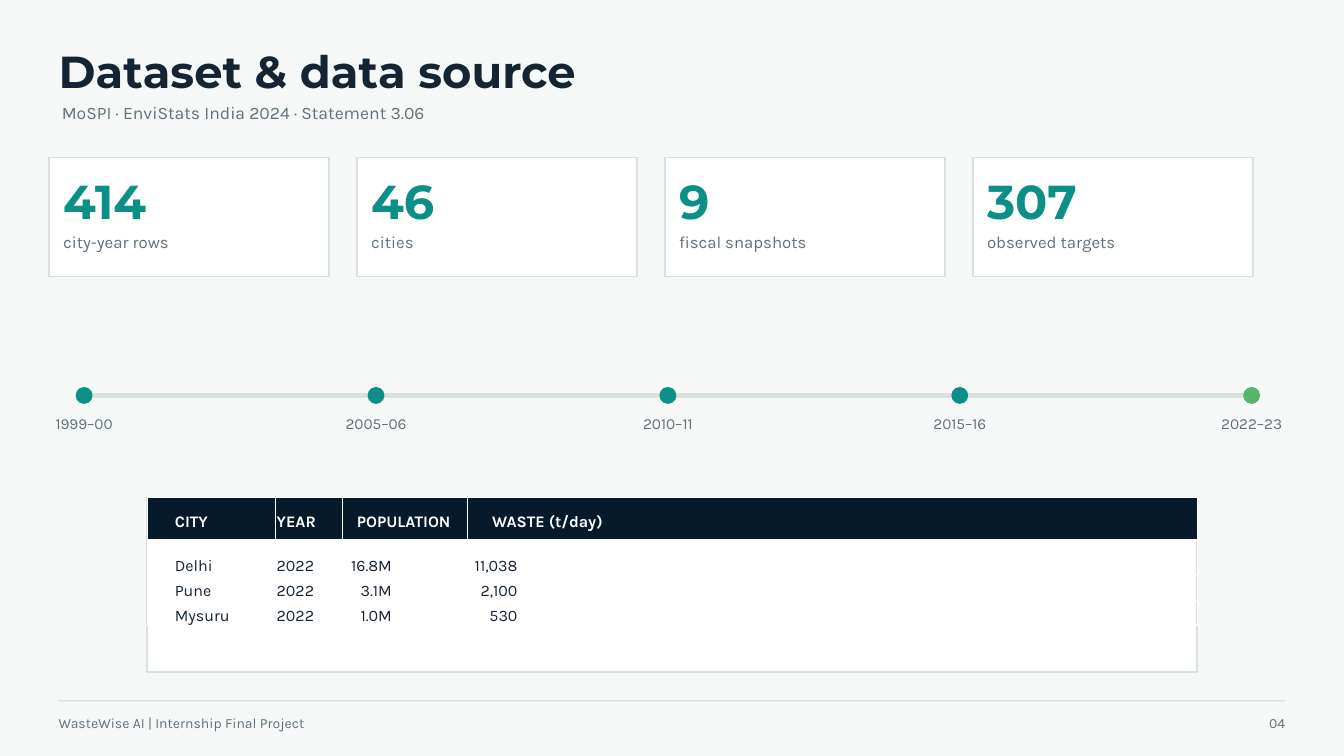
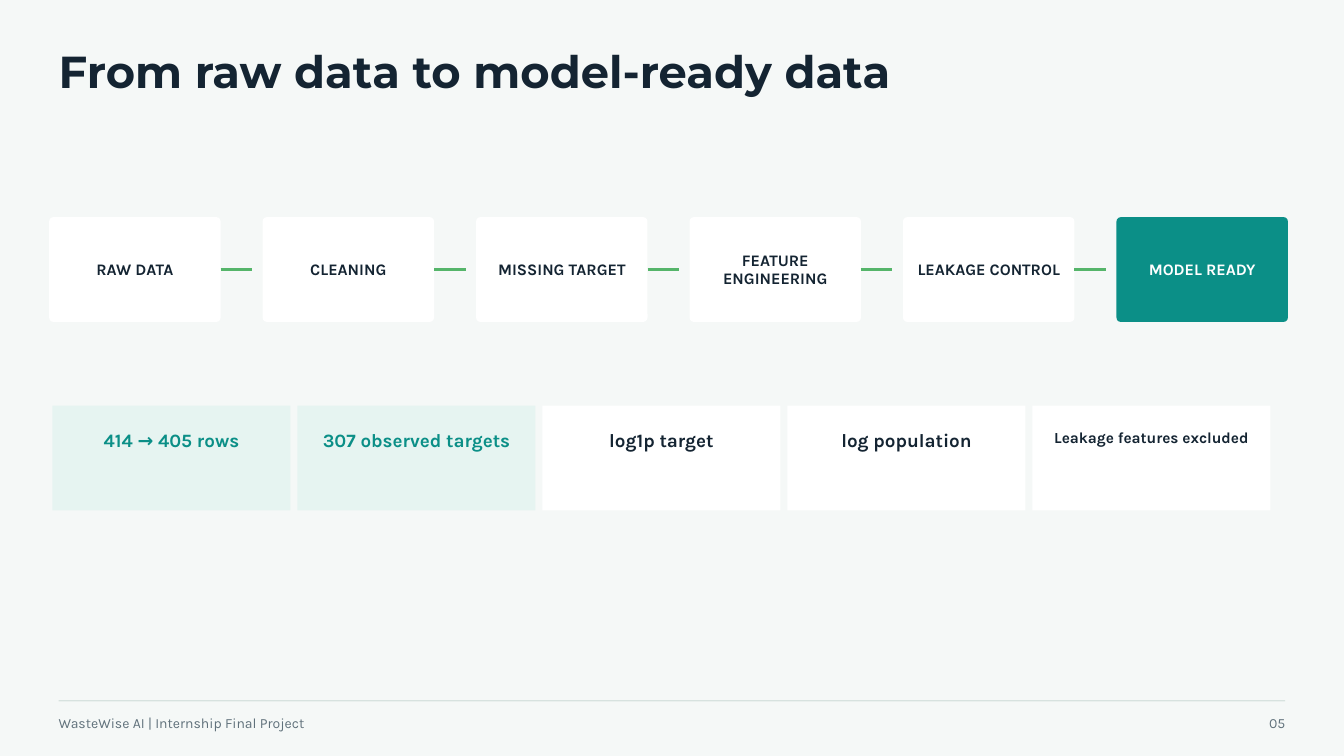
import pptx
import pptx.util
import pptx.dml.color
import pptx.enum.shapes
import pptx.enum.text
import pptx.oxml.ns
import lxml.etree

Cm = pptx.util.Cm
Pt = pptx.util.Pt
SHAPES = pptx.enum.shapes.MSO_SHAPE
ALIGN = pptx.enum.text.PP_ALIGN
ANCHOR = pptx.enum.text.MSO_ANCHOR

COLORS = {
    "background": "F5F8F7",
    "ink": "142432",
    "muted": "60717B",
    "teal": "0B8F87",
    "mint": "E6F4F1",
    "green": "55B56A",
    "rule": "D7E2DF",
    "navy": "071A2B",
    "white": "FFFFFF",
}
HEADING_FONT = "Montserrat"
BODY_FONT = "Karla"
FOOTER_TEXT = "WasteWise AI | Internship Final Project"


def color(name):
    return pptx.dml.color.RGBColor.from_string(COLORS[name])


# Shared building blocks

def write_text(frame, text, size, spacing, ink="ink", font=BODY_FONT, bold=False,
               align=ALIGN.LEFT, anchor=ANCHOR.TOP, margins=(0, 0, 0, 0)):
    """Fill a text frame; margins are left, top, right, bottom in cm."""
    frame.word_wrap = True
    frame.auto_size = pptx.enum.text.MSO_AUTO_SIZE.NONE
    frame.vertical_anchor = anchor
    (frame.margin_left, frame.margin_top,
     frame.margin_right, frame.margin_bottom) = map(Cm, margins)
    format_paragraph(frame.paragraphs[0], text, size, spacing, ink, font, bold, align)


def format_paragraph(paragraph, text, size, spacing, ink, font=BODY_FONT,
                     bold=False, align=ALIGN.LEFT):
    paragraph.text = text
    paragraph.alignment = align
    paragraph.line_spacing = Pt(spacing)
    paragraph.font.size = Pt(size)
    paragraph.font.name = font
    paragraph.font.bold = bold
    paragraph.font.color.rgb = color(ink)


def add_text(slide, box, text, **text_format):
    text_box = slide.shapes.add_textbox(*map(Cm, box))
    write_text(text_box.text_frame, text, **text_format)


def add_box(slide, box, fill, kind=SHAPES.RECTANGLE, outline=None):
    shape = slide.shapes.add_shape(kind, *map(Cm, box))
    shape.shadow.inherit = False
    shape.fill.solid()
    shape.fill.fore_color.rgb = color(fill)
    if outline:
        shape.line.color.rgb = color(outline)
        shape.line.width = Pt(1.5)
    else:
        shape.line.fill.background()
    return shape


def add_horizontal_line(slide, left, right, y, stroke, width):
    line = slide.shapes.add_connector(
        pptx.enum.shapes.MSO_CONNECTOR.STRAIGHT, Cm(left), Cm(y), Cm(right), Cm(y))
    line.line.color.rgb = color(stroke)
    line.line.width = Pt(width)
    properties = line._element.spPr
    lxml.etree.SubElement(properties, pptx.oxml.ns.qn("a:effectLst"))


def add_titled_slide(presentation, title, number):
    slide = presentation.slides.add_slide(presentation.slide_layouts[5])
    placeholder = slide.shapes.title
    placeholder.left, placeholder.top = Cm(2.22), Cm(1.9)
    placeholder.width, placeholder.height = Cm(39.67), Cm(1.8)
    write_text(placeholder.text_frame, title, size=48, spacing=50.4,
               font=HEADING_FONT, bold=True)
    add_footer(slide, (2.22, 26.47, 46.36), number)
    return slide


def add_footer(slide, box, number):
    left, top, width = box
    add_box(slide, (left, top, width, 0.05), "rule")
    style = {"size": 15, "spacing": 21, "ink": "muted"}
    add_text(slide, (left, top + 0.43, 16.4, 0.74), FOOTER_TEXT, **style)
    add_text(slide, (left + width - 2, top + 0.43, 2, 0.74), number,
             align=ALIGN.RIGHT, **style)


# Dataset slide

def add_figure_card(slide, box, figure, label):
    left, top, width, height = box
    inset = 0.53
    add_box(slide, box, "white", outline="rule")
    add_text(slide, (left + inset, top + 0.83, width - 2 * inset, 1.98), figure,
             size=51, spacing=53.5, ink="teal", font=HEADING_FONT, bold=True)
    add_text(slide, (left + inset, top + 2.71, width - 2 * inset, 0.82), label,
             size=18, spacing=24.3, ink="muted")


def add_timeline(slide, box, years):
    left, middle, width = box
    diameter, label_width = 0.64, 3.7
    step = width / (len(years) - 1)
    add_horizontal_line(slide, left, left + width, middle, "rule", 6)
    for index, year in enumerate(years):
        center = left + index * step
        fill = "green" if year == years[-1] else "teal"
        add_box(slide, (center - diameter / 2, middle - diameter / 2, diameter, diameter),
                fill, kind=SHAPES.OVAL)
        add_text(slide, (center - label_width / 2, middle + 0.57, label_width, 0.76),
                 year, size=16.5, spacing=23.1, ink="muted", align=ALIGN.CENTER)


def add_city_table(slide, box, columns, rows):
    """Columns are (heading, width, left indent, right margin of numbers or None)."""
    left, top, width, height = box
    add_box(slide, box, "white", outline="rule")
    row_heights = [1.59, 1.37, 0.94, 0.94]
    frame = slide.shapes.add_table(len(rows) + 1, len(columns), Cm(left), Cm(top),
                                   Cm(width), Cm(sum(row_heights)))
    table = frame.table
    table.horz_banding = False
    for row, row_height in zip(table.rows, row_heights):
        row.height = Cm(row_height)
    for column_index, (heading, column_width, indent, number_margin) in enumerate(columns):
        table.columns[column_index].width = Cm(column_width)
        texts = [heading] + [row[column_index] for row in rows]
        for row_index, text in enumerate(texts):
            cell = table.cell(row_index, column_index)
            is_header = row_index == 0
            is_number = number_margin is not None and not is_header
            cell.margin_left = Cm(0 if is_number else indent)
            cell.margin_right = Cm(number_margin if is_number else 0)
            cell.margin_top = Cm(0.46 if is_header else 0)
            cell.margin_bottom = 0
            if is_header:
                cell.vertical_anchor = ANCHOR.TOP
                cell.fill.solid()
                cell.fill.fore_color.rgb = color("navy")
            else:
                cell.vertical_anchor = ANCHOR.BOTTOM
                cell.fill.background()
            format_paragraph(cell.text_frame.paragraphs[0], text, size=17.2,
                             spacing=24.1 if is_header else 26.7,
                             ink="white" if is_header else "ink", bold=is_header,
                             align=ALIGN.RIGHT if is_number else ALIGN.LEFT)


def build_dataset_slide(presentation):
    slide = add_titled_slide(presentation, "Dataset & data source", "04")
    add_text(slide, (2.34, 3.76, 38.35, 0.86),
             "MoSPI · EnviStats India 2024 · Statement 3.06",
             size=18.8, spacing=25.3, ink="muted")

    # Key figures
    figures = [("414", "city-year rows"), ("46", "cities"),
               ("9", "fiscal snapshots"), ("307", "observed targets")]
    card_width, card_gap = 10.58, 1.06
    for index, (figure, label) in enumerate(figures):
        left = 1.86 + index * (card_width + card_gap)
        add_figure_card(slide, (left, 5.95, card_width, 4.5), figure, label)

    # Years covered
    add_timeline(slide, (3.18, 14.95, 44.13),
                 ["1999–00", "2005–06", "2010–11", "2015–16", "2022–23"])

    # Sample rows
    columns = [("CITY", 4.85, 1.05, None), ("YEAR", 2.55, 0.05, None),
               ("POPULATION", 4.7, 0.53, 2.85), ("WASTE (t/day)", 27.59, 0.94, 25.69)]
    rows = [("Delhi", "2022", "16.8M", "11,038"),
            ("Pune", "2022", "3.1M", "2,100"),
            ("Mysuru", "2022", "1.0M", "530")]
    add_city_table(slide, (5.56, 18.8, 39.69, 6.6), columns, rows)


# Pipeline slide

def add_pipeline(slide, box, steps):
    left, top, width, height = box
    gap = 1.59
    step_width = (width - gap * (len(steps) - 1)) / len(steps)
    for index, step in enumerate(steps):
        step_left = left + index * (step_width + gap)
        is_last = index == len(steps) - 1
        shape = add_box(slide, (step_left, top, step_width, height),
                        "teal" if is_last else "white", kind=SHAPES.ROUNDED_RECTANGLE)
        shape.adjustments[0] = 0.04
        write_text(shape.text_frame, step, size=17.2, spacing=19.8,
                   ink="white" if is_last else "ink", bold=True,
                   align=ALIGN.CENTER, anchor=ANCHOR.MIDDLE, margins=(0.15,) * 4)
        if not is_last:
            step_right = step_left + step_width
            add_horizontal_line(slide, step_right, step_right + 1.19,
                                top + height / 2, "green", 3)


def add_outcomes(slide, box, outcomes):
    left, top, width, height = box
    gap = 0.26
    outcome_width = (width - gap * (len(outcomes) - 1)) / len(outcomes)
    for index, (text, fill, ink, size, spacing) in enumerate(outcomes):
        shape = add_box(slide, (left + index * (outcome_width + gap), top,
                                outcome_width, height), fill)
        write_text(shape.text_frame, text, size=size, spacing=spacing, ink=ink,
                   bold=True, align=ALIGN.CENTER, margins=(0.53, 0.72, 0.53, 0))


def build_pipeline_slide(presentation):
    slide = add_titled_slide(presentation, "From raw data to model-ready data", "05")
    add_pipeline(slide, (1.86, 8.21, 46.82, 3.96),
                 ["RAW DATA", "CLEANING", "MISSING TARGET", "FEATURE ENGINEERING",
                  "LEAKAGE CONTROL", "MODEL READY"])
    add_outcomes(slide, (1.98, 15.34, 46.04, 3.96),
                 [("414 → 405 rows", "mint", "teal", 20.2, 28.4),
                  ("307 observed targets", "mint", "teal", 20.2, 28.4),
                  ("log1p target", "white", "ink", 20.2, 28.4),
                  ("log population", "white", "ink", 20.2, 28.4),
                  ("Leakage features excluded", "white", "ink", 16.5, 23.1)])


def main():
    presentation = pptx.Presentation()
    presentation.slide_width, presentation.slide_height = Cm(50.8), Cm(28.58)
    background = presentation.slide_master.background.fill
    background.solid()
    background.fore_color.rgb = color("background")
    build_dataset_slide(presentation)
    build_pipeline_slide(presentation)
    presentation.save("out.pptx")


if __name__ == "__main__":
    main()
